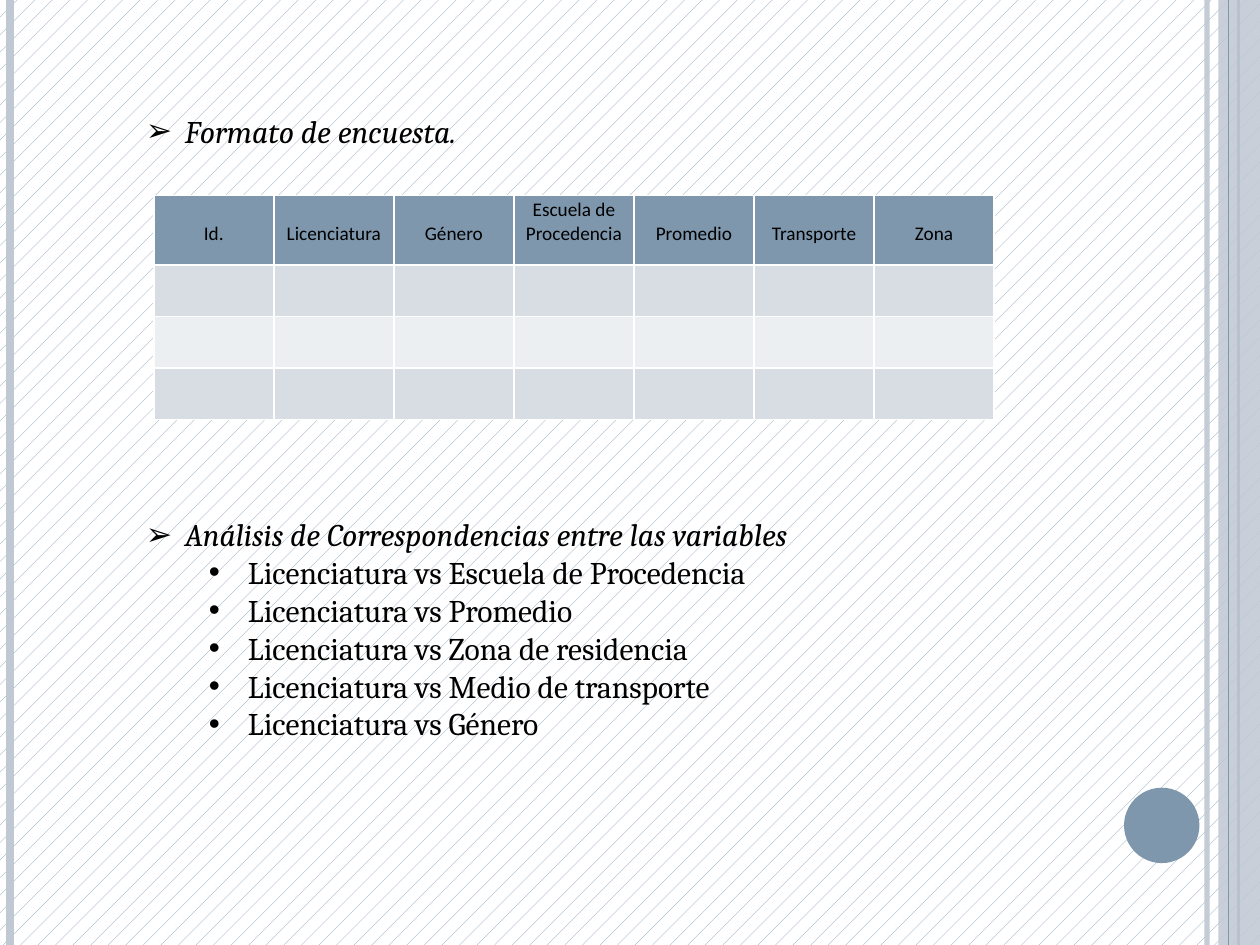
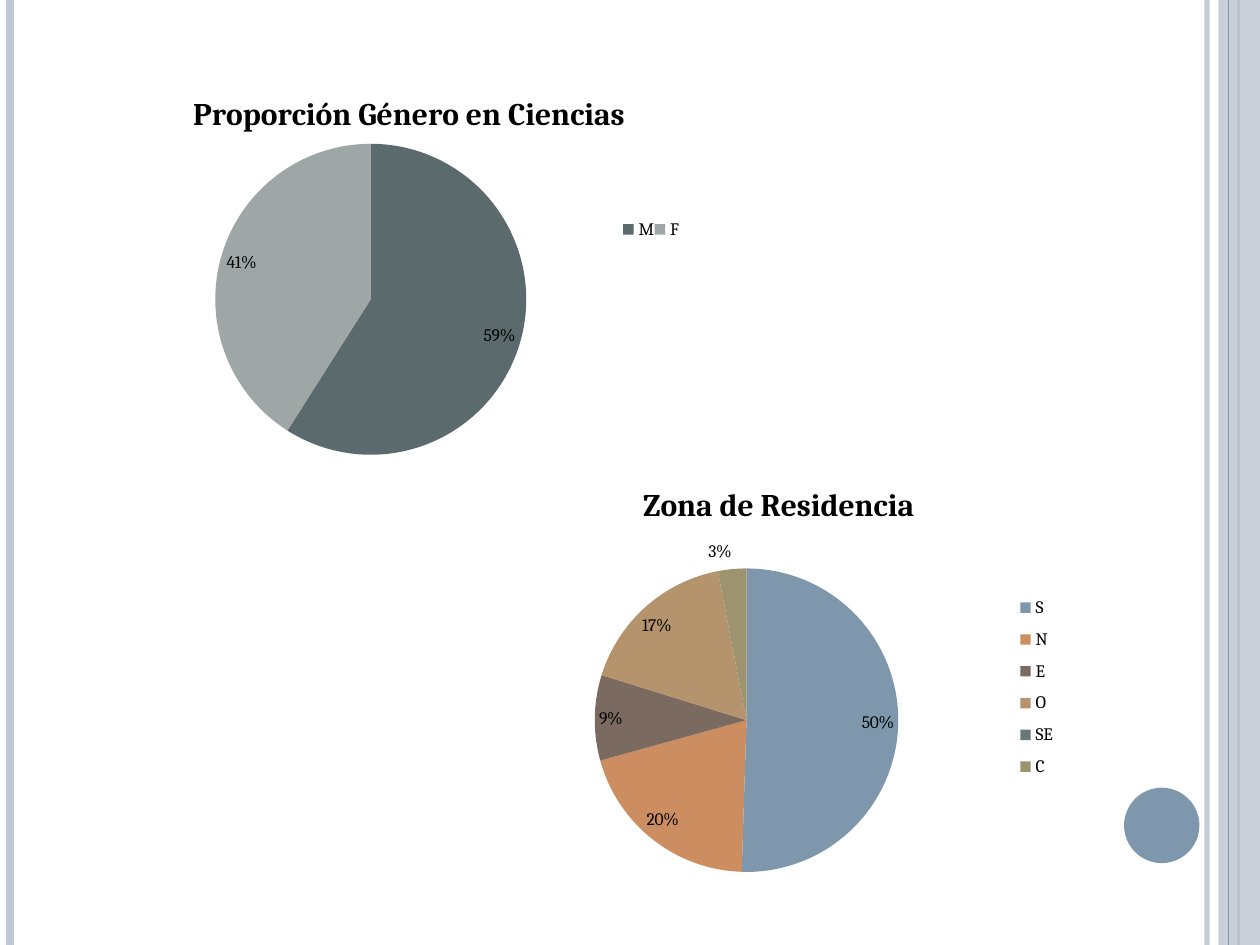
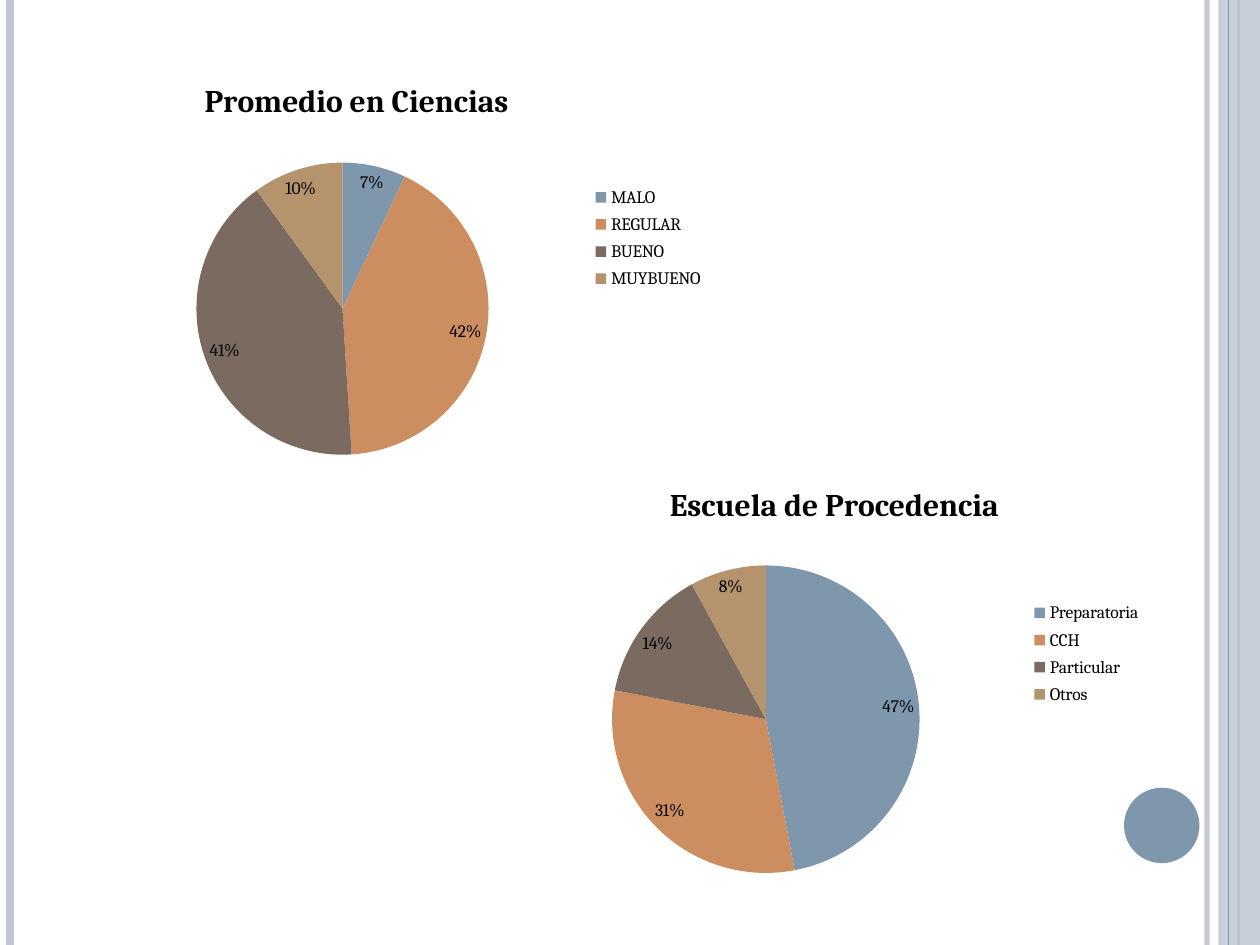
import dataclasses

import lxml.etree
import pptx
import pptx.chart.data
import pptx.dml.color
import pptx.enum.chart
import pptx.enum.dml
import pptx.enum.shapes
import pptx.enum.text
import pptx.oxml.ns
import pptx.util

Cm = pptx.util.Cm
Pt = pptx.util.Pt
qn = pptx.oxml.ns.qn


def rgb(value):
    return pptx.dml.color.RGBColor.from_string(value)


@dataclasses.dataclass(frozen=True)
class Theme:
    accent: str = "7E97AD"
    band: str = "C0C9D3"
    paper: str = "FFFFFF"
    ink: str = "000000"
    rows: tuple = ("D8DDE3", "ECEFF1")
    slices: tuple = ("7E97AD", "CC8E60", "7A6A60", "B4936D", "67787B", "9D936F")
    gender_slices: tuple = ("5B6B6D", "9EA6A6")
    body_font: str = "Cambria"
    table_font: str = "Calibri"
    heading_size: int = 18
    table_size: int = 11
    chart_size: int = 10


@dataclasses.dataclass(frozen=True)
class Pie:
    """Chart contents and places; every length is in centimetres on the slide."""
    title: str
    categories: tuple
    values: tuple
    box: tuple
    title_at: tuple
    pie_at: tuple
    diameter: float
    legend_box: tuple
    colors: tuple = Theme.slices


class Deck:
    WIDTH, HEIGHT = 25.4, 19.05

    def __init__(self, theme):
        self.theme = theme
        self.presentation = pptx.Presentation()
        self.presentation.slide_width = Cm(self.WIDTH)
        self.presentation.slide_height = Cm(self.HEIGHT)
        self.slide = None

    # Slide frame
    def new_slide(self, patterned=False):
        blank = self.presentation.slide_layouts.get_by_name("Blank")
        self.slide = self.presentation.slides.add_slide(blank)
        fill = self.slide.background.fill
        if patterned:
            fill.patterned()
            fill.pattern = pptx.enum.dml.MSO_PATTERN.PERCENT_5
            fill.fore_color.rgb = rgb(self.theme.accent)
            fill.back_color.rgb = rgb(self.theme.paper)
        else:
            fill.solid()
            fill.fore_color.rgb = rgb(self.theme.paper)
        self.frame()

    def frame(self):
        theme, shapes = self.theme, pptx.enum.shapes.MSO_SHAPE
        self.vertical_line(24.33, theme.band, 3, 93)
        self.vertical_line(0.2, theme.band, 4.5)
        self.vertical_line(24.97, theme.accent, 1.5)
        self.solid(shapes.RECTANGLE, (24.56, 0, 0.84, self.HEIGHT), theme.band, 87)
        self.vertical_line(24.77, theme.accent, 0.75)
        self.solid(shapes.OVAL, (22.66, 15.88, 1.52, 1.52), theme.accent)

    def set_opacity(self, element, percent):
        color = next(element.iter(qn("a:srgbClr")))
        lxml.etree.SubElement(color, qn("a:alpha"), val=str(percent * 1000))

    def vertical_line(self, x, color, width, opacity=100):
        line = self.slide.shapes.add_connector(
            pptx.enum.shapes.MSO_CONNECTOR.STRAIGHT, Cm(x), Cm(0), Cm(x), Cm(self.HEIGHT))
        line.line.color.rgb = rgb(color)
        line.line.width = Pt(width)
        properties = line._element.spPr
        if opacity < 100:
            self.set_opacity(properties, opacity)
        lxml.etree.SubElement(properties, qn("a:effectLst"))

    def solid(self, kind, box, color, opacity=100):
        shape = self.slide.shapes.add_shape(kind, *map(Cm, box))
        shape.shadow.inherit = False
        shape.fill.solid()
        shape.fill.fore_color.rgb = rgb(color)
        shape.line.fill.background()
        if opacity < 100:
            self.set_opacity(shape._element.spPr, opacity)

    # Text
    def style(self, font, size, name, bold=False, italic=False):
        font.size, font.name = Pt(size), name
        font.bold, font.italic = bold, italic
        font.color.rgb = rgb(self.theme.ink)

    def add_run(self, paragraph, text, size, name, italic=False):
        run = paragraph.add_run()
        run.text = text
        self.style(run.font, size, name, italic=italic)

    def outline(self, box, sections, gap):
        """Italic headings with bulleted items; gap separates the sections in points."""
        frame = self.slide.shapes.add_textbox(*map(Cm, box)).text_frame
        frame.word_wrap = True
        paragraph = frame.paragraphs[0]
        for number, (heading, items) in enumerate(sections):
            if number:
                paragraph = frame.add_paragraph()
                paragraph.space_before = Pt(gap)
            self.bullet(paragraph, "➢", 0.79)
            self.add_run(paragraph, heading, self.theme.heading_size,
                         self.theme.body_font, italic=True)
            for item in items:
                paragraph = frame.add_paragraph()
                paragraph.level = 1
                self.bullet(paragraph, "•", 2.06)
                self.add_run(paragraph, item, self.theme.heading_size, self.theme.body_font)

    def bullet(self, paragraph, character, indent):
        properties = paragraph._p.get_or_add_pPr()
        properties.set("marL", str(Cm(indent)))
        properties.set("indent", str(Cm(-0.79)))
        lxml.etree.SubElement(properties, qn("a:buFont"), typeface="Arial")
        lxml.etree.SubElement(properties, qn("a:buChar"), char=character)

    # Table
    def form_table(self, left, top, headers, empty_rows, column_width, header_height, row_height):
        table = self.slide.shapes.add_table(
            empty_rows + 1, len(headers), Cm(left), Cm(top), Cm(column_width * len(headers)),
            Cm(header_height + row_height * empty_rows)).table
        for column in table.columns:
            column.width = Cm(column_width)
        for number, row in enumerate(table.rows):
            row.height = Cm(row_height if number else header_height)
            color = self.theme.rows[(number - 1) % 2] if number else self.theme.accent
            for cell in row.cells:
                cell.fill.solid()
                cell.fill.fore_color.rgb = rgb(color)
        for cell, header in zip(table.rows[0].cells, headers):
            cell.vertical_anchor = pptx.enum.text.MSO_ANCHOR.BOTTOM
            cell.margin_left = cell.margin_right = cell.margin_top = Cm(0.03)
            cell.margin_bottom = Cm(0.38)
            paragraph = cell.text_frame.paragraphs[0]
            paragraph.alignment = pptx.enum.text.PP_ALIGN.CENTER
            self.add_run(paragraph, header, self.theme.table_size, self.theme.table_font)

    # Charts
    def pie_chart(self, pie):
        theme, chart_enums = self.theme, pptx.enum.chart
        data = pptx.chart.data.CategoryChartData()
        data.categories = pie.categories
        data.add_series("Series 1", pie.values)
        chart = self.slide.shapes.add_chart(
            chart_enums.XL_CHART_TYPE.PIE, *map(Cm, pie.box), data).chart
        self.style(chart.font, theme.chart_size, theme.body_font)

        chart.has_title = True
        run = chart.chart_title.text_frame.paragraphs[0].add_run()
        run.text = pie.title
        self.style(run.font, theme.heading_size, theme.body_font, bold=True)

        chart.has_legend = True
        chart.legend.position = chart_enums.XL_LEGEND_POSITION.RIGHT
        chart.legend.include_in_layout = False

        plot = chart.plots[0]
        plot.vary_by_categories = True
        plot.has_data_labels = True
        labels = plot.data_labels
        labels.show_value = True
        labels.number_format = '0"%"'
        labels.number_format_is_linked = False
        labels.position = chart_enums.XL_LABEL_POSITION.BEST_FIT
        self.style(labels.font, theme.chart_size, theme.body_font)
        for number, color in enumerate(pie.colors[:len(pie.values)]):
            fill = plot.series[0].points[number].format.fill
            fill.solid()
            fill.fore_color.rgb = rgb(color)

        root = chart._chartSpace.chart
        self.place(root.find(qn("c:title")), "c:tx", pie.box, pie.title_at)
        self.place(root.find(qn("c:legend")), "c:legendPos", pie.box, pie.legend_box)
        self.place(root.find(qn("c:plotArea")), None, pie.box,
                   (*pie.pie_at, pie.diameter, pie.diameter))

    def place(self, part, predecessor, chart_box, box):
        """Fix a chart part at a slide position, as fractions of the chart."""
        for old in part.findall(qn("c:layout")):
            part.remove(old)
        layout = lxml.etree.Element(qn("c:layout"))
        if predecessor:
            part.find(qn(predecessor)).addnext(layout)
        else:
            part.insert(0, layout)
        manual = lxml.etree.SubElement(layout, qn("c:manualLayout"))
        left, top, width, height = chart_box
        fractions = [(box[0] - left) / width, (box[1] - top) / height]
        if len(box) == 4:
            fractions += [box[2] / width, box[3] / height]
        settings = [("xMode", "edge"), ("yMode", "edge")]
        if not predecessor:
            settings.insert(0, ("layoutTarget", "inner"))
        settings += [(name, f"{value:.4f}") for name, value in zip("xywh", fractions)]
        for name, value in settings:
            lxml.etree.SubElement(manual, qn("c:" + name), val=value)


def main():
    deck = Deck(Theme())

    # Survey format and variables
    deck.new_slide(patterned=True)
    others = ("Escuela de Procedencia", "Promedio", "Zona de residencia",
              "Medio de transporte", "Género")
    deck.outline((2.69, 2.13, 16.99, 13.84), (
        ("Formato de encuesta.", ()),
        ("Análisis de Correspondencias entre las variables",
         [f"Licenciatura vs {other}" for other in others]),
    ), gap=209)
    deck.form_table(3.1, 3.94, ("Id.", "Licenciatura", "Género", "Escuela de Procedencia",
                                "Promedio", "Transporte", "Zona"),
                    empty_rows=3, column_width=2.42, header_height=1.4, row_height=1.04)

    # Residence and gender
    deck.new_slide()
    deck.pie_chart(Pie(
        "Zona de Residencia", ("S", "N", "E", "O", "SE", "C"), (50, 20, 9, 17, 0, 3),
        box=(8.51, 9.12, 14.2, 8.79), title_at=(12.85, 9.63), pie_at=(11.99, 11.46),
        diameter=6.12, legend_box=(20.32, 11.81, 1.15, 4.09)))
    deck.pie_chart(Pie(
        "Proporción Género en Ciencias", ("M", "F"), (59, 41),
        box=(1.09, 1.12, 13.79, 8.41), title_at=(3.78, 1.75), pie_at=(4.34, 2.9),
        diameter=6.27, legend_box=(12.55, 4.04, 1.15, 1.17), colors=Theme.gender_slices))

    # Grades and school of origin
    deck.new_slide()
    deck.pie_chart(Pie(
        "Promedio en Ciencias", ("MALO", "REGULAR", "BUENO", "MUYBUENO"), (7, 42, 41, 10),
        box=(1.3, 1.12, 13.79, 8.41), title_at=(4.01, 1.5), pie_at=(3.96, 3.28),
        diameter=5.89, legend_box=(11.73, 3.63, 2.67, 2.34)))
    deck.pie_chart(Pie(
        "Escuela de Procedencia", ("Preparatoria", "CCH", "Particular", "Otros"),
        (47, 31, 14, 8),
        box=(9.5, 9.12, 14.4, 8.81), title_at=(13.39, 9.63), pie_at=(12.34, 11.4),
        diameter=6.2, legend_box=(20.6, 12.01, 2.6, 2.34)))

    deck.presentation.save("out.pptx")


if __name__ == "__main__":
    main()
